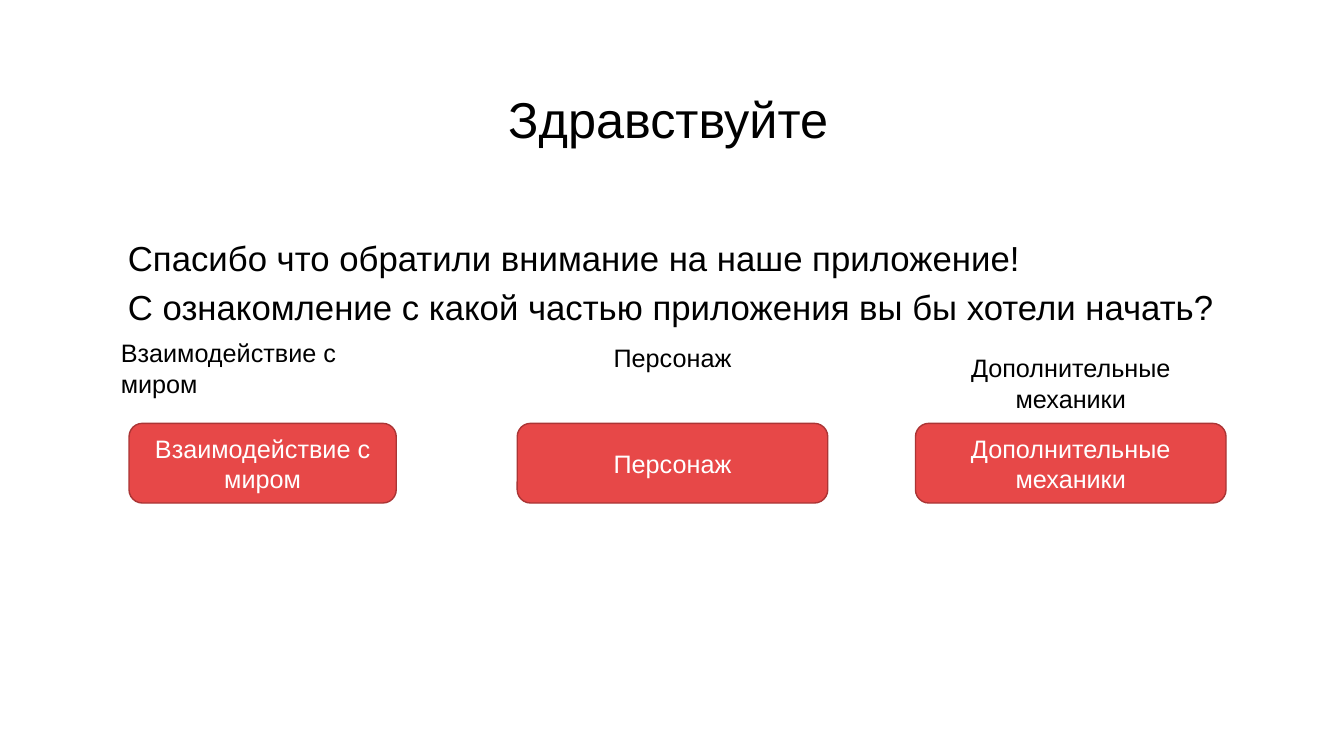
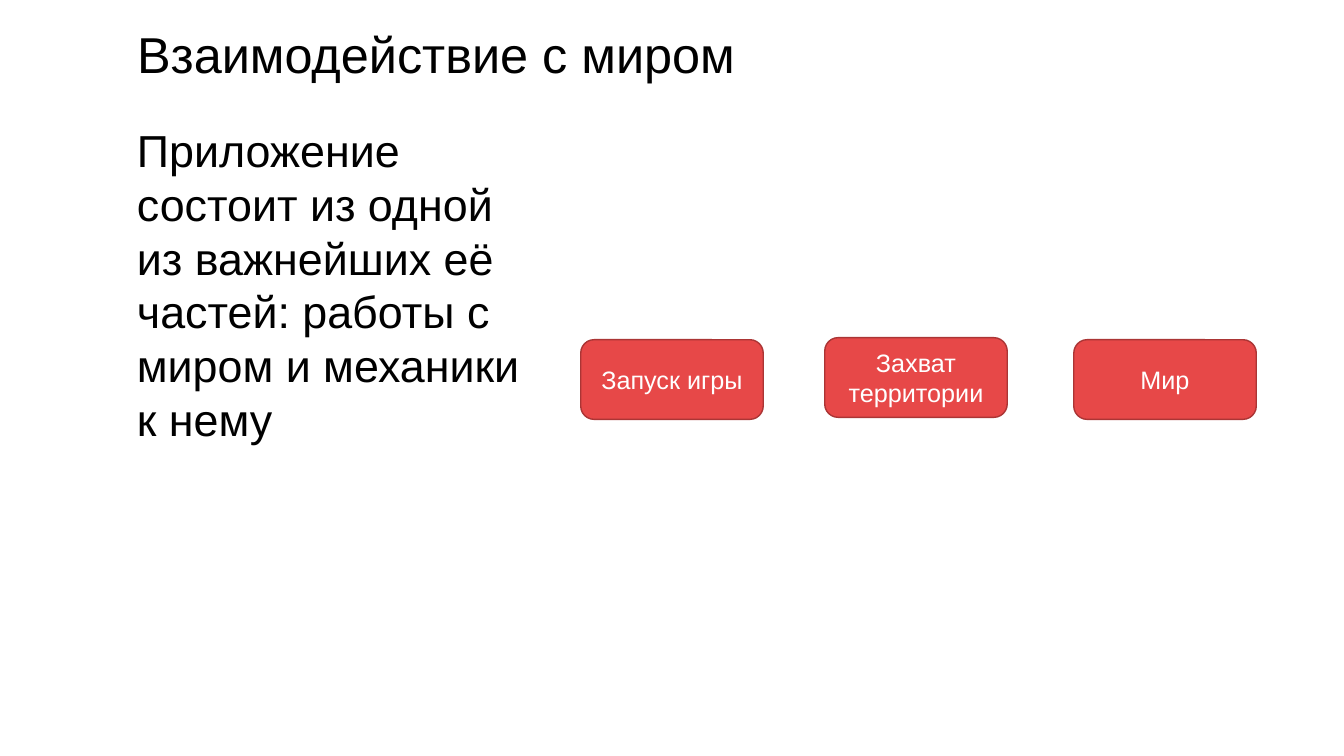
from pptx import Presentation
from pptx.dml.color import RGBColor
from pptx.enum.shapes import MSO_SHAPE as Shape
from pptx.enum.text import MSO_ANCHOR as Anchor, PP_ALIGN as Align
from pptx.util import Inches, Pt


def tint(code):
    return RGBColor.from_string(code)


class Deck:
    """Holds the shared style and the slide being filled."""

    FONT, INK, PAPER = "Arial", "000000", "FFFFFF"
    RED, EDGE = "E74848", "AB3535"

    def __init__(self):
        self.prs = Presentation()
        self.prs.slide_width = Inches(13.33)
        self.prs.slide_height = Inches(7.5)

    def fill(self, frame, lines, size, color=INK, align=Align.LEFT,
             anchor=Anchor.TOP, before=0):
        frame.word_wrap = True
        frame.vertical_anchor = anchor
        frame.text = "\n".join(lines)
        for para in frame.paragraphs:
            para.alignment = align
            para.space_before = Pt(before)
            para.font.name = self.FONT
            para.font.size = Pt(size)
            para.font.color.rgb = tint(color)

    def slide(self, title, left, top):
        self.page = self.prs.slides.add_slide(self.prs.slide_layouts[5])
        head = self.page.shapes.title
        head.left, head.top = Inches(left), Inches(top)
        head.width, head.height = Inches(8), Inches(0.64)
        self.fill(head.text_frame, [title], 36, anchor=Anchor.MIDDLE)

    def text(self, lines, left, top, width, height, size=18, **style):
        box = self.page.shapes.add_textbox(
            Inches(left), Inches(top), Inches(width), Inches(height))
        self.fill(box.text_frame, lines, size, **style)

    def body(self, lines, left, top, width, height, size):
        self.text(lines, left, top, width, height, size, before=size * 0.2)

    def button(self, label, left, top, width):
        box = self.page.shapes.add_shape(
            Shape.ROUNDED_RECTANGLE, Inches(left), Inches(top),
            Inches(width), Inches(0.79))
        box.shadow.inherit = False
        box.fill.solid()
        box.fill.fore_color.rgb = tint(self.RED)
        box.line.color.rgb = tint(self.EDGE)
        box.line.width = Pt(1)
        self.fill(box.text_frame, [label], 18, self.PAPER,
                  Align.CENTER, Anchor.MIDDLE)


def main():
    deck = Deck()

    deck.slide("Здравствуйте", 4.94, 0.85)
    deck.body(["Спасибо что обратили внимание на наше приложение!",
               "С ознакомление с какой частью приложения вы бы хотели начать?"],
              1.17, 2.3, 11, 0.79, 24.8)
    world, hero, extra = ("Взаимодействие с миром", "Персонаж",
                          "Дополнительные механики")
    for label, left, width in ((world, 1.28, 2.65), (hero, 5.13, 3.08),
                               (extra, 9.08, 3.08)):
        deck.button(label, left, 4.2, width)
    deck.text([world], 1.1, 3.3, 2.83, 0.71)
    deck.text([hero], 5.13, 3.35, 3.08, 0.4, align=Align.CENTER)
    deck.text([extra], 9.08, 3.45, 3.08, 0.71, align=Align.CENTER)

    deck.slide(world, 1.26, 0.21)
    deck.body(["Приложение состоит из одной из важнейших её частей: "
               "работы с миром и механики к нему"],
              1.26, 1.17, 4.28, 5.53, 32)
    for label, left, top in (("Запуск игры", 5.76, 3.37),
                             ("Захват территории", 8.18, 3.35),
                             ("Мир", 10.65, 3.37)):
        deck.button(label, left, top, 1.81)

    deck.prs.save("out.pptx")


if __name__ == "__main__":
    main()
